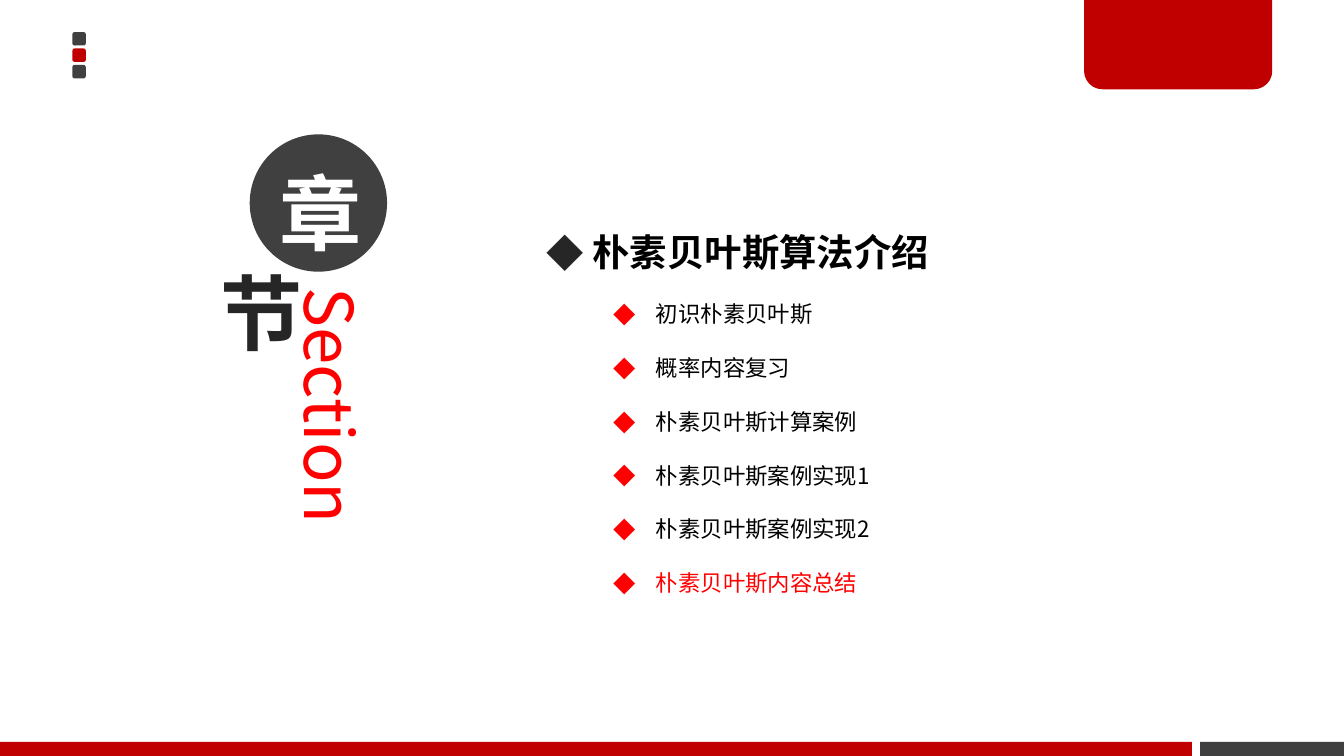
from collections import namedtuple

from lxml.etree import SubElement
from pptx import Presentation
from pptx.dml.color import RGBColor
from pptx.enum.shapes import MSO_SHAPE as Preset
from pptx.enum.text import MSO_ANCHOR as Anchor, MSO_AUTO_SIZE as AutoSize, PP_ALIGN as Align
from pptx.oxml.ns import qn
from pptx.util import Pt

FONT = "Noto Sans CJK SC"
COLORS = {"dark": "404040", "brand": "C00000", "accent": "FF0000",
          "ink": "262626", "text": "000000", "white": "FFFFFF"}
TOPICS = ["初识朴素贝叶斯", "概率内容复习", "朴素贝叶斯计算案例",
          "朴素贝叶斯案例实现1", "朴素贝叶斯案例实现2", "朴素贝叶斯内容总结"]
CURRENT_TOPIC = TOPICS[-1]

Box = namedtuple("Box", "left top width height")


def color(name):
    """Return the named palette colour."""
    return RGBColor.from_string(COLORS[name])


def add_block(page, preset, box, fill=None):
    """Add a preset shape without line or shadow."""
    shape = page.shapes.add_shape(preset, *map(Pt, box))
    shape.shadow.inherit = False
    shape.line.fill.background()
    if fill:
        shape.fill.solid()
        shape.fill.fore_color.rgb = color(fill)
    else:
        shape.fill.background()
    return shape


def set_insets(frame, side, top, bottom):
    """Set the inner margins of a text frame."""
    frame.margin_left = frame.margin_right = Pt(side)
    frame.margin_top, frame.margin_bottom = Pt(top), Pt(bottom)


def add_span(para, text, size, tone, bold=False):
    """Add one formatted run to a paragraph."""
    span = para.add_run()
    span.text = text
    font = span.font
    font.name, font.size, font.bold = FONT, Pt(size), bold
    font.color.rgb = color(tone)
    SubElement(font._element, qn("a:ea"), typeface=FONT)


def add_bullet(para, tone, margin, hanging):
    """Give a paragraph a coloured diamond and a hanging indent."""
    props = para._p.get_or_add_pPr()
    props.set("marL", str(Pt(margin)))
    props.set("indent", str(-Pt(hanging)))
    fill = SubElement(props, qn("a:buClr"))
    SubElement(fill, qn("a:srgbClr"), val=COLORS[tone])
    SubElement(props, qn("a:buFont"), typeface=FONT)
    SubElement(props, qn("a:buChar"), char="◆")


def draw_marker(page, box):
    """Stack three small rounded squares down the box."""
    pitch = (box.height - box.width) / 2
    for index, fill in enumerate(["dark", "brand", "dark"]):
        square = Box(box.left, box.top + index * pitch, box.width, box.width)
        add_block(page, Preset.ROUNDED_RECTANGLE, square, fill)


def draw_tab(page, box):
    """Hang a tab with rounded lower corners from the top edge."""
    tab = add_block(page, Preset.ROUND_2_SAME_RECTANGLE, box, "brand")
    tab.adjustments[0], tab.adjustments[1] = 0, 0.2


def draw_footer(page, box):
    """Split the bottom band into a long and a short bar."""
    gap, short = 4.5, 77
    long = box.width - short - gap
    add_block(page, Preset.RECTANGLE, box._replace(width=long), "brand")
    add_block(page, Preset.RECTANGLE,
              box._replace(left=box.left + long + gap, width=short), "dark")


def add_glyph(page, box, text, tone, fill=None, bottom=2.9):
    """Centre one large character in a circle."""
    circle = add_block(page, Preset.OVAL, box, fill)
    frame = circle.text_frame
    frame.vertical_anchor = Anchor.MIDDLE
    set_insets(frame, 5, 2.9, bottom)
    para = frame.paragraphs[0]
    para.alignment = Align.CENTER
    add_span(para, text, 44, tone, bold=True)
    return para


def draw_section_mark(page, box):
    """Compose the section emblem with its vertical word."""
    word = page.shapes.add_textbox(Pt(box.left + 49), Pt(box.top + 79.2), Pt(50.4), Pt(208))
    frame = word.text_frame
    frame.word_wrap = True
    set_insets(frame, 5, 2.9, 2.9)
    frame._txBody.bodyPr.set("vert", "vert")
    add_span(frame.paragraphs[0], "Section", 36, "accent")
    badge = Box(box.left + 28.8, box.top, 73.6, 73.6)
    para = add_glyph(page, badge, "章", "white", "dark", bottom=10.8)
    para.line_spacing = Pt(70)
    add_glyph(page, Box(box.left, box.top + 66.2, 57.6, 57.6), "节", "ink")


def draw_outline(page, box):
    """List the chapter heading and its topics, the current one in red."""
    frame = page.shapes.add_textbox(*map(Pt, box)).text_frame
    frame.word_wrap = True
    frame.auto_size = AutoSize.SHAPE_TO_FIT_TEXT
    heading = frame.paragraphs[0]
    heading.line_spacing = 2.0
    add_bullet(heading, "ink", 13.5, 13.5)
    add_span(heading, " 朴素贝叶斯算法介绍", 20, "text", bold=True)
    for topic in TOPICS:
        para = frame.add_paragraph()
        para.level = 1
        para.line_spacing = 2.0
        add_bullet(para, "accent", 58.5, 22.5)
        add_span(para, topic, 12, "accent" if topic == CURRENT_TOPIC else "text")


def main():
    """Build and save the section slide."""
    deck = Presentation()
    deck.slide_width, deck.slide_height = Pt(720), Pt(405)
    page = deck.slides.add_slide(deck.slide_layouts[6])
    draw_marker(page, Box(38.8, 17.2, 7.2, 24.8))
    draw_tab(page, Box(580.8, -1.2, 100.8, 49))
    draw_footer(page, Box(0, 397.5, 720, 7.5))
    draw_section_mark(page, Box(105, 72, 102.4, 288))
    draw_outline(page, Box(285.8, 95, 278, 226))
    deck.save("out.pptx")


if __name__ == "__main__":
    main()
